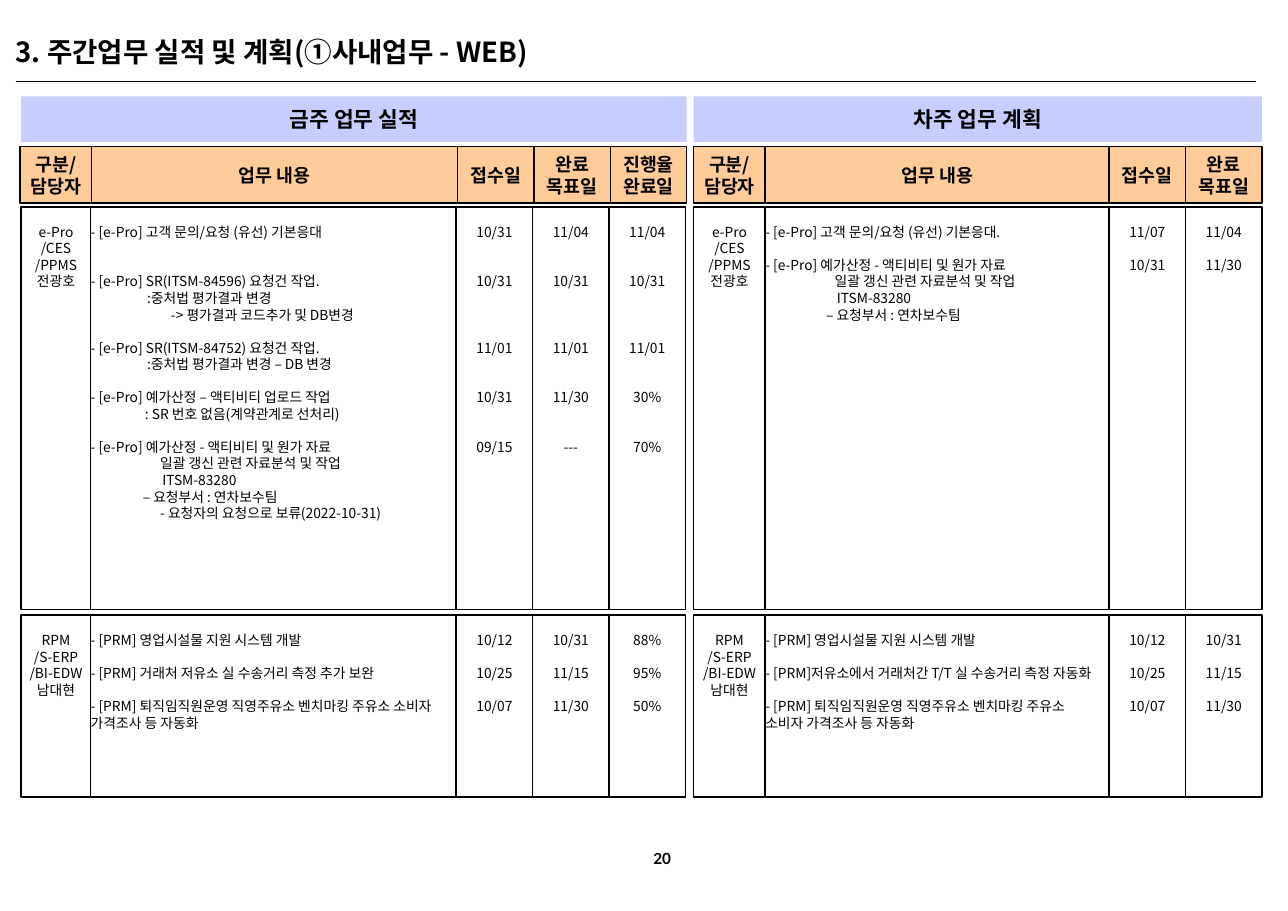
from dataclasses import dataclass

from lxml import etree
from pptx import Presentation
from pptx import util as u
from pptx.dml import color
from pptx.enum import shapes, text
from pptx.oxml import ns


@dataclass(frozen=True)
class Theme:
    font: str = "Noto Sans CJK KR"
    number_font: str = "Lato"
    ink: str = "000000"
    banner: str = "C7CDFD"
    header: str = "FFCC99"
    title_size: float = 18
    banner_size: float = 14
    header_size: float = 12
    number_size: float = 10
    body_size: float = 9
    leading: float = 1.2
    line: float = 1


@dataclass(frozen=True)
class Line:
    words: str
    indent: float = 0
    before: int = 0  # empty line heights above


@dataclass(frozen=True)
class Task:
    lines: list
    dates: list
    gap: int = 1  # empty line heights above the task


@dataclass(frozen=True)
class Panel:
    title: str
    left: float
    width: float
    inset: float
    person_width: float
    date_heads: list
    groups: list


THEME = Theme()
DATE_WIDTH = 1.76
HEADER_PERSON_WIDTH = 1.65
BANNER_TOP, BANNER_HEIGHT = 2.22, 1.05
HEADER_TOP, HEADER_HEIGHT = 3.38, 1.3
GROUP_BOXES = [(4.77, 9.27), (14.17, 4.19)]
PEOPLE = [["e-Pro", "/CES", "/PPMS", "전광호"],
          ["RPM", "/S-ERP", "/BI-EDW", "남대현"]]

BUDGET = [Line("- [e-Pro] 예가산정 - 액티비티 및 원가 자료"),
          Line("일괄 갱신 관련 자료분석 및 작업", 1.6), Line("ITSM-83280", 1.65)]
SYSTEM = [Line("- [PRM] 영업시설물 지원 시스템 개발")]
BENCHMARK = [Line("- [PRM] 퇴직임직원운영 직영주유소 벤치마킹 주유소 소비자 가격조사 등 자동화")]

DONE = [
    [Task([Line("- [e-Pro] 고객 문의/요청 (유선) 기본응대")], ["10/31", "11/04", "11/04"]),
     Task([Line("- [e-Pro] SR(ITSM-84596) 요청건 작업."),
           Line(":중처법 평가결과 변경", 1.3),
           Line("-> 평가결과 코드추가 및 DB변경", 1.85)], ["10/31"] * 3, gap=2),
     Task([Line("- [e-Pro] SR(ITSM-84752) 요청건 작업."),
           Line(":중처법 평가결과 변경 – DB 변경", 1.3)], ["11/01"] * 3),
     Task([Line("- [e-Pro] 예가산정 – 액티비티 업로드 작업"),
           Line(": SR 번호 없음(계약관계로 선처리)", 1.25)], ["10/31", "11/30", "30%"]),
     Task(BUDGET + [Line("– 요청부서 : 연차보수팀", 1.2),
                    Line("- 요청자의 요청으로 보류(2022-10-31)", 1.6)],
          ["09/15", "---", "70%"])],
    [Task(SYSTEM, ["10/12", "10/31", "88%"]),
     Task([Line("- [PRM] 거래처 저유소 실 수송거리 측정 추가 보완")], ["10/25", "11/15", "95%"]),
     Task(BENCHMARK, ["10/07", "11/30", "50%"])],
]
PLANNED = [
    [Task([Line("- [e-Pro] 고객 문의/요청 (유선) 기본응대.")], ["11/07", "11/04"]),
     Task(BUDGET + [Line("– 요청부서 : 연차보수팀", 1.4)], ["10/31", "11/30"])],
    [Task(SYSTEM, ["10/12", "10/31"]),
     Task([Line("- [PRM]저유소에서 거래처간 T/T 실 수송거리 측정 자동화")], ["10/25", "11/15"]),
     Task(BENCHMARK, ["10/07", "11/30"])],
]
PANELS = [
    Panel("금주 업무 실적", 0.46, 15.36, 0.03, 1.6,
          [["접수일"], ["완료", "목표일"], ["진행율", "완료일"]], DONE),
    Panel("차주 업무 계획", 15.98, 13.09, 0, 1.65,
          [["접수일"], ["완료", "목표일"]], PLANNED),
]


def write(shape, lines, size, bold=False, align=text.PP_ALIGN.CENTER,
          anchor=text.MSO_ANCHOR.MIDDLE, top=0, right=0, font=THEME.font):
    frame = shape.text_frame
    frame.word_wrap = True
    frame.vertical_anchor = anchor
    frame.margin_left = frame.margin_bottom = 0
    frame.margin_top, frame.margin_right = u.Cm(top), u.Cm(right)
    pitch = size * THEME.leading
    for index, line in enumerate(lines):
        paragraph = frame.add_paragraph() if index else frame.paragraphs[0]
        paragraph.text = line.words
        paragraph.alignment = align
        paragraph.line_spacing = u.Pt(pitch)
        if line.before:
            paragraph.space_before = u.Pt(pitch * line.before)
        paragraph.font.size = u.Pt(size)
        paragraph.font.bold = bold
        paragraph.font.color.rgb = color.RGBColor.from_string(THEME.ink)
        paragraph.font.name = font
        properties = paragraph._p.pPr
        if line.indent:
            properties.set("marL", str(u.Cm(line.indent)))
        # East Asian typeface
        etree.SubElement(properties.find(ns.qn("a:defRPr")), ns.qn("a:ea"), typeface=font)


def add_box(slide, left, top, width, height, fill=None, outlined=True):
    shape = slide.shapes.add_shape(shapes.MSO_SHAPE.RECTANGLE, u.Cm(left), u.Cm(top),
                                   u.Cm(width), u.Cm(height))
    shape.shadow.inherit = False
    if fill:
        shape.fill.solid()
        shape.fill.fore_color.rgb = color.RGBColor.from_string(fill)
    else:
        shape.fill.background()
    if outlined:
        shape.line.color.rgb = color.RGBColor.from_string(THEME.ink)
        shape.line.width = u.Pt(THEME.line)
    else:
        shape.line.fill.background()
    return shape


def columns(left, width, person_width, date_count):
    """Left edge and width of the person, work and date columns."""
    work_width = width - person_width - DATE_WIDTH * date_count
    for column_width in [person_width, work_width] + [DATE_WIDTH] * date_count:
        yield left, column_width
        left += column_width


def add_title(slide, left, top, width, height):
    box = slide.shapes.add_textbox(u.Cm(left), u.Cm(top), u.Cm(width), u.Cm(height))
    write(box, [Line("3. 주간업무 실적 및 계획(①사내업무 - WEB)")], THEME.title_size,
          bold=True, align=text.PP_ALIGN.LEFT, anchor=text.MSO_ANCHOR.TOP)
    rule_top = u.Cm(top + height)
    rule = slide.shapes.add_connector(shapes.MSO_CONNECTOR.STRAIGHT, u.Cm(left), rule_top,
                                      u.Cm(left + width), rule_top)
    rule.line.color.rgb = color.RGBColor.from_string(THEME.ink)
    rule.line.width = u.Pt(THEME.line)
    etree.SubElement(rule._element.spPr, ns.qn("a:effectLst"))


def add_group(slide, left, top, width, height, person_width, people, tasks):
    work, dates = [], [[] for _ in tasks[0].dates]
    previous_lines = 0
    for index, task in enumerate(tasks):
        gap = task.gap if index else 0
        first, *rest = task.lines
        work += [Line(first.words, first.indent, gap)] + rest
        # Each date stands level with the first line of its task
        skipped = previous_lines - 1 + gap if index else 0
        for column, date in zip(dates, task.dates):
            column.append(Line(date, before=skipped))
        previous_lines = len(task.lines)
    contents = [[Line(word) for word in people], work] + dates
    places = columns(left, width, person_width, len(dates))
    for (column_left, column_width), lines in zip(places, contents):
        is_work = lines is work
        write(add_box(slide, column_left, top, column_width, height), lines, THEME.body_size,
              align=text.PP_ALIGN.LEFT if is_work else text.PP_ALIGN.CENTER,
              anchor=text.MSO_ANCHOR.TOP, top=0.38, right=0.1 if is_work else 0)


def add_panel(slide, panel):
    body_left = panel.left + panel.inset
    # Banner
    banner = add_box(slide, body_left, BANNER_TOP, panel.width - panel.inset,
                     BANNER_HEIGHT, THEME.banner, outlined=False)
    write(banner, [Line(panel.title)], THEME.banner_size, bold=True)
    # Column heads
    heads = [["구분/", "담당자"], ["업무 내용"]] + panel.date_heads
    places = columns(panel.left, panel.width, HEADER_PERSON_WIDTH, len(panel.date_heads))
    for (left, width), words in zip(places, heads):
        head = add_box(slide, left, HEADER_TOP, width, HEADER_HEIGHT, THEME.header)
        write(head, [Line(word) for word in words], THEME.header_size, bold=True)
    # Task groups
    for (top, height), people, tasks in zip(GROUP_BOXES, PEOPLE, panel.groups):
        add_group(slide, body_left, top, panel.width - 2 * panel.inset, height,
                  panel.person_width, people, tasks)


def add_page_number(slide, left, top, width, height):
    box = slide.shapes.add_textbox(u.Cm(left), u.Cm(top), u.Cm(width), u.Cm(height))
    write(box, [Line("20")], THEME.number_size, bold=True,
          anchor=text.MSO_ANCHOR.BOTTOM, font=THEME.number_font)


def main():
    presentation = Presentation()
    presentation.slide_width = u.Cm(29.67)
    presentation.slide_height = u.Cm(20.98)
    slide = presentation.slides.add_slide(presentation.slide_layouts[6])
    add_title(slide, 0.36, 0.81, 28.57, 1.07)
    for panel in PANELS:
        add_panel(slide, panel)
    add_page_number(slide, 13.49, 18.9, 3.53, 1.07)
    presentation.save("out.pptx")


if __name__ == "__main__":
    main()
